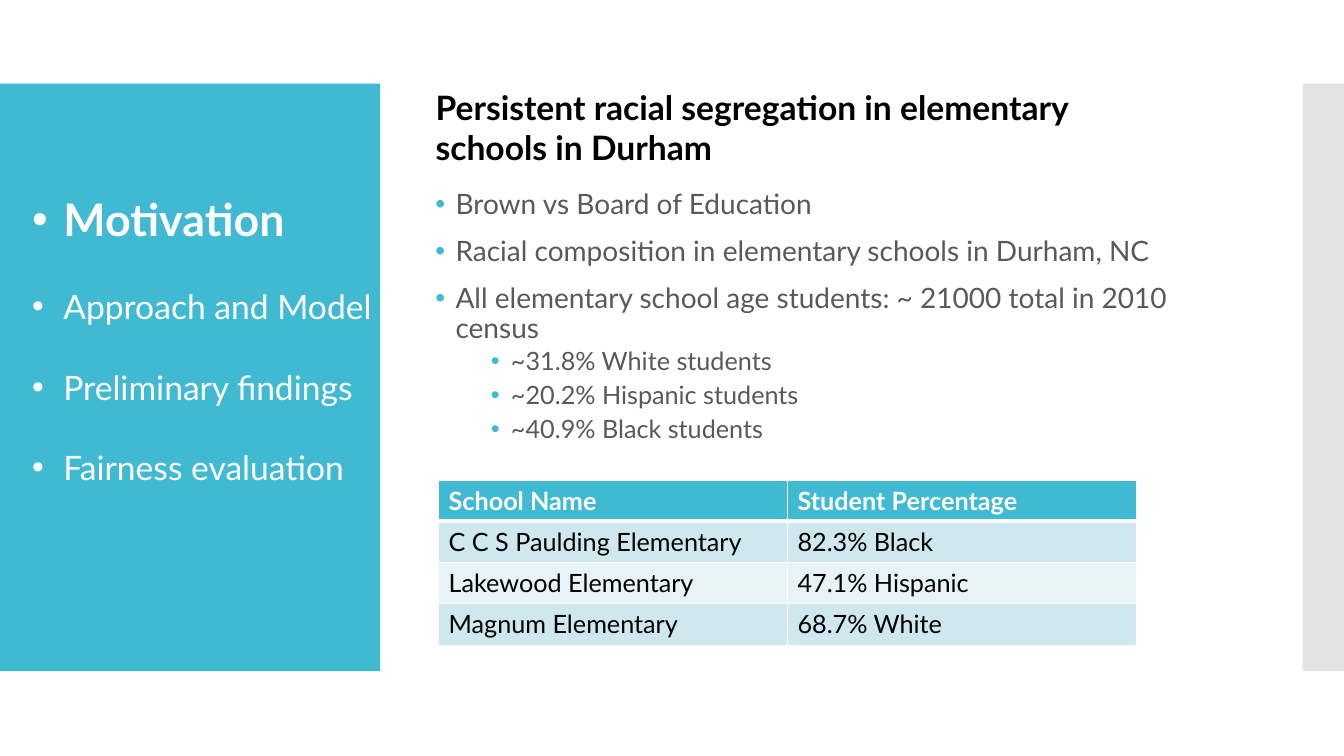
from lxml.etree import SubElement
from pptx import Presentation
from pptx.dml.color import RGBColor
from pptx.enum.shapes import MSO_SHAPE
from pptx.enum.text import MSO_ANCHOR, MSO_AUTO_SIZE, PP_ALIGN
from pptx.oxml import parse_xml
from pptx.oxml.ns import nsdecls, qn
from pptx.util import Inches, Pt

FONT = "Lato"
TEAL, WHITE, BLACK, BODY_GREY, EDGE_GREY = "40BAD2", "FFFFFF", "000000", "595959", "C8C8C8"
BANDS = ("CFE7EE", "E8F3F7")

HEADING = "Persistent racial segregation in elementary schools in Durham"
AGENDA = ["Motivation", "Approach and Model", "Preliminary findings", "Fairness evaluation"]
POINTS = [
    (0, "Brown vs Board of Education"),
    (0, "Racial composition in elementary schools in Durham, NC"),
    (0, "All elementary school age students: ~ 21000 total in 2010 census"),
    (1, "~31.8% White students"),
    (1, "~20.2% Hispanic students"),
    (1, "~40.9% Black students"),
]
POINT_STYLES = [
    {"size": 20, "indent": 0.2, "before": 12, "after": 0},
    {"size": 18, "indent": 0.75, "before": 2.5, "after": 2.5},
]
SCHOOLS = [
    ("School Name", "Student Percentage"),
    ("C C S Paulding Elementary", "82.3% Black"),
    ("Lakewood Elementary", "47.1% Hispanic"),
    ("Magnum Elementary", "68.7% White"),
]
BANNER = {"top": 0.83, "height": 5.83}
COLUMN_WIDTH, HEADER_HEIGHT, ROW_HEIGHT = 3.46, 0.4, 0.41


def rgb(color):
    """Turn a hex string into a colour."""
    return RGBColor.from_string(color)


def style(paragraph, size, color, bold=False):
    """Set the font of a whole paragraph."""
    font = paragraph.font
    font.name, font.size, font.bold = FONT, Pt(size), bold
    font.color.rgb = rgb(color)


def add_bullet(paragraph, indent, hang, color):
    """Give a paragraph a hanging round bullet."""
    properties = paragraph._p.get_or_add_pPr()
    properties.set("marL", str(Inches(indent)))
    properties.set("indent", str(-Inches(hang)))
    SubElement(SubElement(properties, qn("a:buClr")), qn("a:srgbClr"), val=color)
    SubElement(properties, qn("a:buFont"), typeface="Arial")
    SubElement(properties, qn("a:buChar"), char="•")


def add_banner(slide, left, width, color):
    """Add a plain vertical band at the slide edge."""
    banner = slide.shapes.add_shape(
        MSO_SHAPE.RECTANGLE, Inches(left), Inches(BANNER["top"]),
        Inches(width), Inches(BANNER["height"]))
    banner.shadow.inherit = False
    banner.fill.solid()
    banner.fill.fore_color.rgb = rgb(color)
    banner.line.fill.background()
    return banner


def add_paragraphs(slide, box, texts):
    """Add a wrapping text box and return its paragraphs."""
    frame = slide.shapes.add_textbox(*map(Inches, box)).text_frame
    frame.word_wrap = True
    frame.text = "\n".join(texts)
    return frame.paragraphs


def set_borders(cell, widths):
    """Draw white cell borders with widths in points."""
    properties = cell._tc.get_or_add_tcPr()
    for position, (side, width) in enumerate(widths.items()):
        properties.insert(position, parse_xml(
            f'<a:ln{side} {nsdecls("a")} w="{Pt(width)}"><a:solidFill>'
            f'<a:srgbClr val="{WHITE}"/></a:solidFill></a:ln{side}>'))


def add_heading(slide):
    """Place and format the slide title."""
    title = slide.shapes.title
    title.left, title.top, title.width, title.height = map(Inches, (4.22, 0.81, 7.48, 0.91))
    frame = title.text_frame
    frame.text = HEADING
    frame.word_wrap = True
    frame.auto_size = MSO_AUTO_SIZE.NONE
    frame.vertical_anchor = MSO_ANCHOR.TOP
    heading = frame.paragraphs[0]
    heading.alignment = PP_ALIGN.LEFT
    style(heading, 24, BLACK, True)


def add_agenda(slide):
    """List the sections with the current one emphasised."""
    for index, section in enumerate(add_paragraphs(slide, (0.22, 1.32, 3.65, 3.9), AGENDA)):
        current = index == 0
        section.line_spacing = 2.0
        add_bullet(section, 0.31, 0.31, WHITE)
        style(section, 32 if current else 24, WHITE, current)


def add_points(slide):
    """List the points at their two levels."""
    points = add_paragraphs(slide, (4.22, 1.84, 8, 2.85), [text for _, text in POINTS])
    for point, (level, _) in zip(points, POINTS):
        look = POINT_STYLES[level]
        point.level = level
        point.line_spacing = 0.9
        point.space_before, point.space_after = Pt(look["before"]), Pt(look["after"])
        add_bullet(point, look["indent"], 0.2, TEAL)
        style(point, look["size"], BODY_GREY)


def add_schools(slide):
    """Add the table of schools."""
    heights = [HEADER_HEIGHT] + [ROW_HEIGHT] * (len(SCHOOLS) - 1)
    table = slide.shapes.add_table(
        len(SCHOOLS), 2, Inches(4.35), Inches(4.77),
        Inches(2 * COLUMN_WIDTH), Inches(sum(heights))).table
    for column in table.columns:
        column.width = Inches(COLUMN_WIDTH)
    for index, (school, height) in enumerate(zip(SCHOOLS, heights)):
        header = index == 0
        table.rows[index].height = Inches(height)
        for cell, text in zip(table.rows[index].cells, school):
            cell.text = text
            cell.fill.solid()
            cell.fill.fore_color.rgb = rgb(TEAL if header else BANDS[(index - 1) % 2])
            set_borders(cell, {"L": 1, "R": 1, "T": 3 if index == 1 else 1, "B": 3 if header else 1})
            style(cell.text_frame.paragraphs[0], 18, WHITE if header else BLACK, header)


presentation = Presentation()
presentation.slide_width, presentation.slide_height = Inches(13.33), Inches(7.5)
slide = presentation.slides.add_slide(presentation.slide_layouts[5])
add_banner(slide, 0, 3.77, TEAL)
edge = add_banner(slide, 12.92, 0.41, EDGE_GREY)
SubElement(next(edge._element.spPr.iter(qn("a:srgbClr"))), qn("a:alpha"), val="50000")
add_heading(slide)
add_agenda(slide)
add_points(slide)
add_schools(slide)
presentation.save("out.pptx")
